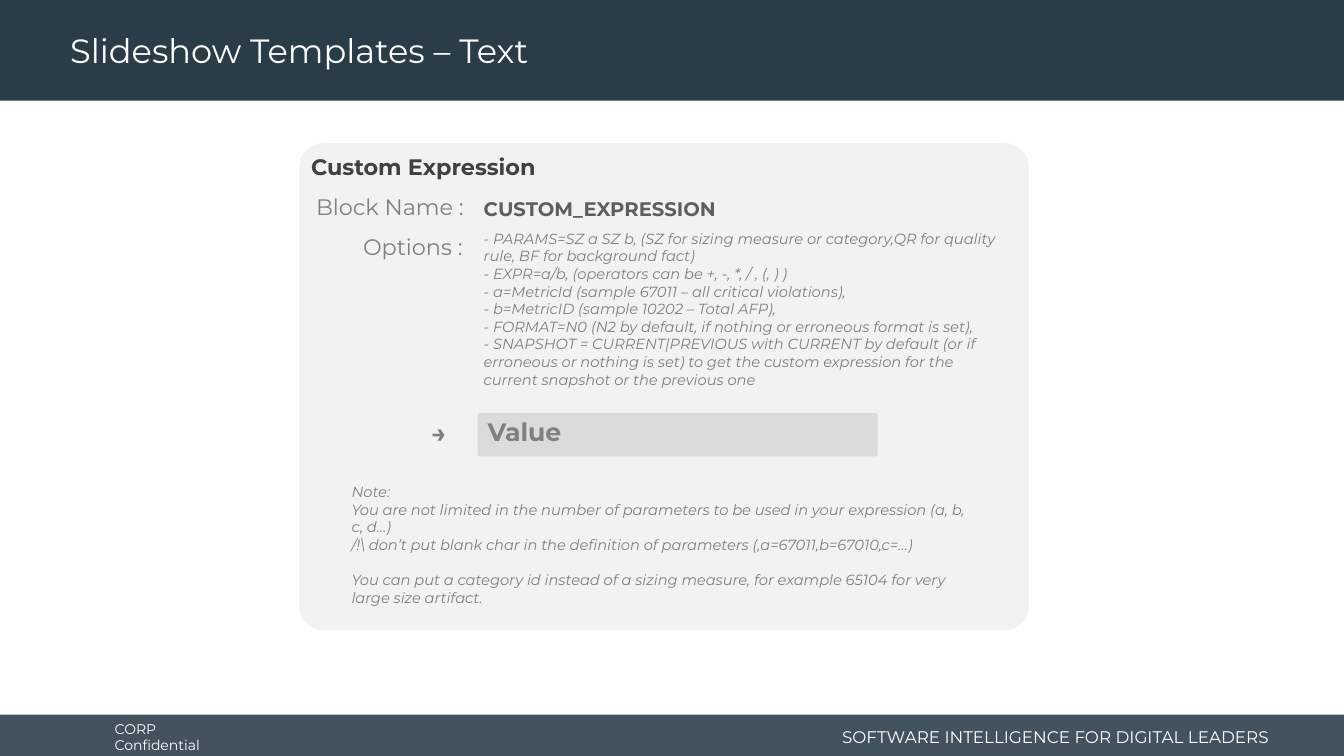
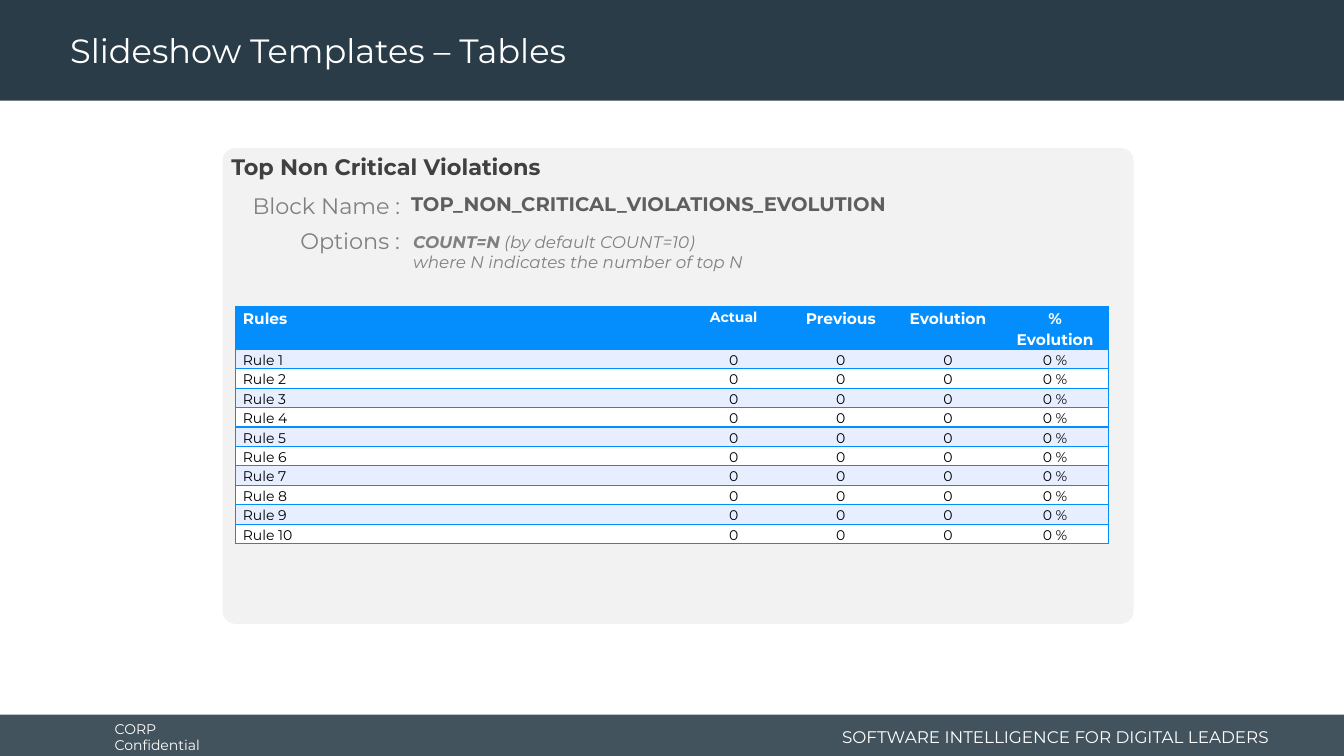
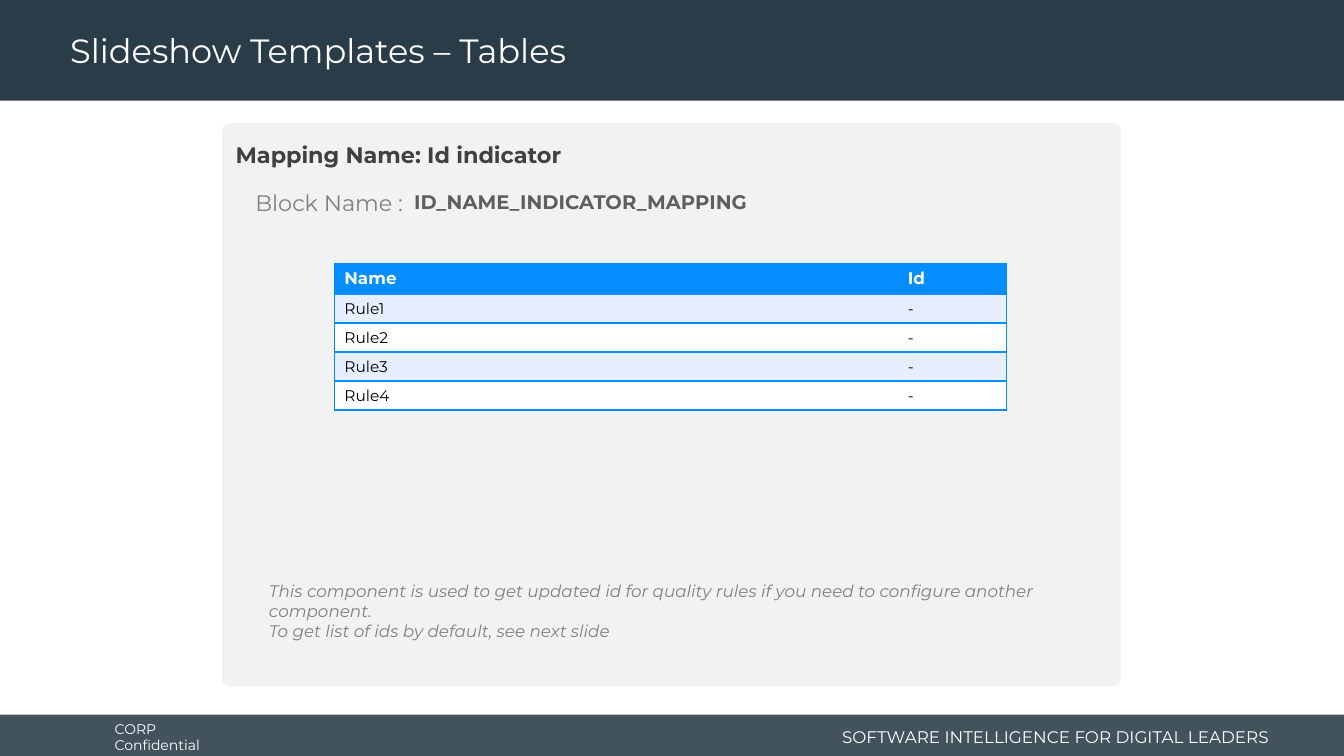
"""Build three slides documenting report template blocks."""
from lxml import etree
from pptx import Presentation
from pptx import util as u
from pptx.dml.color import RGBColor
from pptx.enum import shapes, text
from pptx.oxml.ns import qn

FONT = "Montserrat"
NAVY, WHITE, BLACK = "293C47", "FFFFFF", "000000"
PANEL, DARK, MID, GREY, SILVER = "F2F2F2", "404040", "5E5E5E", "808080", "BFBFBF"
BLUE, PALE = "048EFD", "E7EEFF"
LEFT, CENTER, RIGHT = text.PP_ALIGN.LEFT, text.PP_ALIGN.CENTER, text.PP_ALIGN.RIGHT
TOP, MIDDLE = text.MSO_ANCHOR.TOP, text.MSO_ANCHOR.MIDDLE
rgb = RGBColor.from_string


def add_block(s, box, color, radius=None, alpha=None):
    kind = shapes.MSO_SHAPE.RECTANGLE if radius is None else shapes.MSO_SHAPE.ROUNDED_RECTANGLE
    sp = s.shapes.add_shape(kind, *map(u.Cm, box))
    if radius is not None:
        sp.adjustments[0] = radius
    sp.shadow.inherit = False
    sp.line.fill.background()
    sp.fill.solid()
    sp.fill.fore_color.rgb = rgb(color)
    if alpha is not None:
        clr = sp.fill._xPr.find(".//" + qn("a:srgbClr"))
        etree.SubElement(clr, qn("a:alpha"), val=str(alpha * 1000))


def add_text(s, box, paras, size, color, bold=False, italic=False, align=LEFT,
             anchor=TOP, wrap=True, inset=0.25, spacing=None):
    tf = s.shapes.add_textbox(*map(u.Cm, box)).text_frame
    tf.word_wrap = wrap
    tf.vertical_anchor = anchor
    tf.margin_left = tf.margin_right = u.Cm(inset)
    for i, runs in enumerate(paras):
        p = tf.add_paragraph() if i else tf.paragraphs[0]
        p.alignment = align
        p.line_spacing = spacing
        for words in runs:
            r = p.add_run()
            r.text = words
            r.font.name, r.font.size = FONT, u.Pt(size)
            r.font.bold, r.font.italic = bold, italic
            r.font.color.rgb = rgb(color)
    return tf


prs = Presentation()
prs.slide_width, prs.slide_height = u.Cm(33.87), u.Cm(19.05)

cards = [
    dict(title="Slideshow Templates – Text", panel=(7.54, 3.61, 18.39, 12.27), radius=0.049,
         heading="Custom Expression", heading_box=(7.34, 3.73, 11.99, 0.94),
         name="CUSTOM_EXPRESSION", name_box=(11.94, 4.85, 11.38, 0.86),
         labels=[("Block Name :", (7.7, 4.75, 4.24, 0.94)),
                 ("Options :", (8.84, 5.74, 3.07, 0.94))]),
    dict(title="Slideshow Templates – Tables", panel=(5.61, 3.73, 22.96, 11.99), radius=0.027,
         heading="Top Non Critical Violations", heading_box=(5.33, 3.73, 22.63, 0.94),
         name="TOP_NON_CRITICAL_VIOLATIONS_EVOLUTION", name_box=(10.11, 4.72, 18.42, 0.86),
         labels=[("Block Name :", (6.1, 4.72, 4.24, 0.94)),
                 ("Options :", (7.26, 5.61, 3.07, 0.94))]),
    dict(title="Slideshow Templates – Tables", panel=(5.59, 3.1, 22.66, 14.2), radius=0.015,
         heading="Mapping Name: Id indicator", heading_box=(5.44, 3.43, 22.63, 0.94),
         name="ID_NAME_INDICATOR_MAPPING", name_box=(10.19, 4.67, 18.42, 0.86),
         labels=[("Block Name :", (6.17, 4.65, 4.24, 0.94))]),
]

for card in cards:
    s = prs.slides.add_slide(prs.slide_layouts[6])
    add_block(s, (0, 18.01, 33.87, 1.04), NAVY, alpha=88)
    add_block(s, (0, 0, 33.87, 2.54), NAVY)
    add_text(s, (2.64, 18.06, 3.76, 1.02), [["CORP Confidential"]], 10, WHITE,
             anchor=MIDDLE, wrap=False)
    add_text(s, (20.6, 18.16, 11.63, 0.81), [["SOFTWARE INTELLIGENCE FOR DIGITAL LEADERS"]],
             12, WHITE, align=RIGHT, anchor=MIDDLE)
    add_text(s, (1.52, 0.1, 24.33, 2.44), [[card["title"]]], 24, WHITE,
             anchor=MIDDLE, spacing=0.9)
    add_block(s, card["panel"], PANEL, card["radius"])
    add_text(s, card["heading_box"], [[card["heading"]]], 16, DARK, bold=True, inset=0.5)
    add_text(s, card["name_box"], [[card["name"]]], 14, MID, bold=True)
    for label, box in card["labels"]:
        add_text(s, box, [[label]], 16, GREY, align=RIGHT, wrap=False)

expression, violations, mapping = prs.slides

add_text(expression, (11.94, 5.66, 13.41, 4.29), [
    ["- PARAMS=SZ a SZ b, (SZ for sizing measure or category,QR for quality rule, "
     "BF for background fact)"],
    ["- EXPR=a/b, (operators can be +, -, *, / , (, ) )"],
    ["- a=MetricId (sample 67011 – all critical violations),"],
    ["- b=MetricID (sample 10202 – Total AFP),"],
    ["- FORMAT=N0 (N2 by default, if nothing or erroneous format is set),"],
    ["- SNAPSHOT = CURRENT|PREVIOUS with CURRENT by default (or if erroneous or nothing is set) "
     "to get the custom expression for the current snapshot or the previous one"],
], 10.5, GREY, italic=True)
add_text(expression, (10.62, 10.39, 1.22, 1.12), [["→"]], 18, GREY, bold=True)
add_block(expression, (12.04, 10.41, 10.08, 1.09), SILVER, 0.049, 45)
add_text(expression, (12.04, 10.36, 10.67, 1.12), [["Value"]], 18, GREY, bold=True)
tf = add_text(expression, (8.61, 12.04, 16.21, 3.4), [
    ["Note:"],
    ["You are not limited in the number of parameters to be used in your expression "
     "(a, b, c, d…)"],
    ["/!\\ don’t put blank char in the definition of parameters (,a=67011,b=67010,c=…)"],
    ["You can put a category id instead of a sizing measure, for example 65104 for very "
     "large size artifact."],
], 10.5, GREY, italic=True)
tf.paragraphs[-1].space_before = u.Pt(12.8)

tf = add_text(violations, (10.16, 5.72, 18.42, 1.27), [
    ["COUNT=N", " (by default COUNT=10)"],
    ["where N indicates the number of top N"],
], 12, GREY, italic=True)
tf.paragraphs[0].runs[0].font.bold = True

add_text(mapping, (6.53, 14.5, 19.99, 1.8), [
    ["This component is used to get updated id for quality rules if you need to configure "
     "another component."],
    ["To get list of ids by default, see next slide"],
], 12, GREY, italic=True)

tables = [
    dict(slide=violations, at=(5.94, 7.72), cols=[11.2] + [2.7] * 4, heights=(1.08, 0.49),
         head=["Rules", "Actual", "Previous", "Evolution", "% Evolution"],
         head_sizes=[11, 10, 11, 11, 11], size=10, align=CENTER, anchor=TOP, spacing=1.15,
         margins=(0.18, 0),
         body=[[f"Rule {n}", "0", "0", "0", "0 %"] for n in range(1, 11)]),
    dict(slide=mapping, at=(8.43, 6.63), cols=[14.2, 2.74], heights=(0.78, 0.73),
         head=["Name", "Id"], head_sizes=[12, 12], size=11, align=LEFT, anchor=MIDDLE,
         spacing=None, margins=(0.25, 0.13),
         body=[[f"Rule{n}", "-"] for n in range(1, 5)]),
]

for t in tables:
    rows = [t["head"]] + t["body"]
    head_height, row_height = t["heights"]
    size = sum(t["cols"]), head_height + row_height * len(t["body"])
    tbl = t["slide"].shapes.add_table(len(rows), len(t["cols"]),
                                      *map(u.Cm, t["at"] + size)).table
    tbl.horz_banding = False
    for col, width in zip(tbl.columns, t["cols"]):
        col.width = u.Cm(width)
    for i, row in enumerate(rows):
        tbl.rows[i].height = u.Cm(row_height if i else head_height)
        for j, words in enumerate(row):
            cell = tbl.cell(i, j)
            cell.margin_left = cell.margin_right = u.Cm(t["margins"][0])
            cell.margin_top = cell.margin_bottom = u.Cm(t["margins"][1])
            cell.vertical_anchor = t["anchor"] if i else TOP
            tcPr = cell._tc.get_or_add_tcPr()
            edges = dict(L=j == 0, R=j == len(row) - 1, T=True, B=True)
            for side, drawn in edges.items():
                ln = etree.SubElement(tcPr, qn("a:ln" + side), w="12700")
                if drawn:
                    fill = etree.SubElement(ln, qn("a:solidFill"))
                    etree.SubElement(fill, qn("a:srgbClr"), val=BLUE)
                else:
                    etree.SubElement(ln, qn("a:noFill"))
            cell.fill.solid()
            cell.fill.fore_color.rgb = rgb(BLUE if i == 0 else PALE if i % 2 else WHITE)
            p = cell.text_frame.paragraphs[0]
            p.alignment = t["align"] if j else LEFT
            p.line_spacing = t["spacing"]
            r = p.add_run()
            r.text = words
            r.font.name = FONT
            r.font.size = u.Pt(t["size"] if i else t["head_sizes"][j])
            r.font.bold = i == 0
            r.font.color.rgb = rgb(BLACK if i else WHITE)

prs.save("out.pptx")
